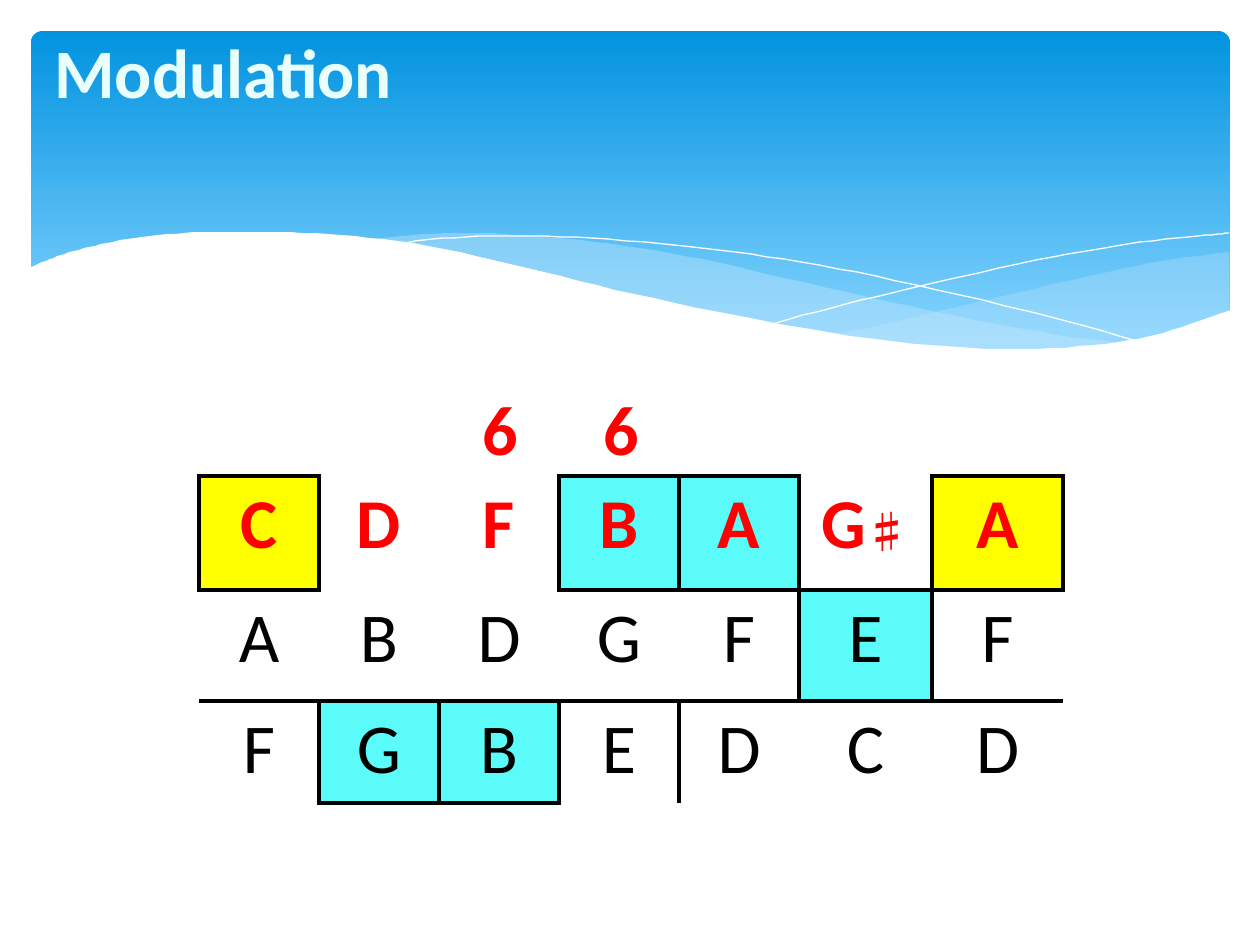
from lxml.etree import SubElement
from pptx import Presentation
from pptx.dml.color import RGBColor
from pptx.enum.shapes import MSO_SHAPE
from pptx.enum.text import MSO_ANCHOR, PP_ALIGN
from pptx.oxml.ns import qn
from pptx.util import Pt

PX = 914400 / 126
COLORS = {
    "sky_top": "0293E0", "sky_bottom": "83D3FE", "mist": "C6E7FC", "white": "FFFFFF",
    "title": "E9FFFE", "red": "FF0000", "black": "000000",
    "yellow": "FFFF00", "cyan": "5AFBF8",
}
FONT, SYMBOL_FONT = "Calibri", "Noto Sans CJK JP"
TITLE = "Modulation"
FIGURES = [("6", 470), ("6", 591)]
FIGURE_TOP, FIGURE_WIDTH, FIGURE_HEIGHT = 379, 52, 97

NOTES = [
    ["C", "D", "F", "B", "A", "G♯", "A"],
    ["A", "B", "D", "G", "F", "E", "F"],
    ["F", "G", "B", "E", "D", "C", "D"],
]
HIGHLIGHTS = {
    (0, 0): "yellow", (0, 6): "yellow", (0, 3): "cyan", (0, 4): "cyan",
    (1, 5): "cyan", (2, 1): "cyan", (2, 2): "cyan",
}
TABLE_LEFT, TABLE_TOP = 199, 476
COLUMN_WIDTHS = [120, 120, 120, 120, 120, 133, 131]
ROW_HEIGHTS = [114, 111, 102]

WAVES = [
    ("mist", 29, [
        [(1229, 252), (1161, 261), (1085, 277), (982, 301), (886, 324), (833, 334)],
        [(833, 334), (906, 343), (969, 348), (1038, 350), (1109, 346), (1169, 335), (1229, 311)],
    ]),
    ("mist", 40, [
        [(1125, 344), (1017, 328), (890, 302), (793, 280), (717, 262), (632, 247),
         (557, 238), (479, 233), (413, 235), (360, 241)],
        [(360, 241), (456, 251), (566, 280), (713, 312), (799, 329), (876, 340),
         (943, 347), (1018, 350), (1080, 349), (1125, 344)],
    ]),
]
STRANDS = [
    [(389, 246), (433, 239), (505, 236), (591, 238), (701, 248), (801, 262),
     (916, 285), (1047, 316), (1143, 343)],
    [(772, 324), (846, 304), (942, 281), (1053, 257), (1128, 244), (1198, 236), (1229, 233)],
]
FOREGROUND = [
    [(1231, 310), (1172, 330), (1118, 342), (1037, 349), (959, 347), (867, 338), (760, 320),
     (634, 294), (527, 268), (428, 246), (341, 235), (266, 232), (203, 232), (150, 236),
     (107, 243), (74, 251), (50, 259), (29, 268)],
    [(29, 415), (1231, 415)],
]


def px(length):
    return round(length * PX)


def color(name):
    return RGBColor.from_string(COLORS[name])


def smooth(points, steps=6):
    padded = [points[0], *points, points[-1]]
    curve = [points[0]]
    for a, b, c, d in zip(padded, padded[1:], padded[2:], padded[3:]):
        for step in range(1, steps + 1):
            t = step / steps
            curve.append(tuple(
                (2 * q + (r - p) * t + (2 * p - 5 * q + 4 * r - s) * t ** 2
                 + (3 * q - p - 3 * r + s) * t ** 3) / 2
                for p, q, r, s in zip(a, b, c, d)))
    return curve


def add_curve(slide, sections, fill=None, opacity=100):
    points = [point for section in sections
              for point in (smooth(section) if len(section) > 2 else section)]
    builder = slide.shapes.build_freeform(*points[0], scale=PX)
    builder.add_line_segments(points[1:], close=fill is not None)
    shape = builder.convert_to_shape()
    shape.shadow.inherit = False
    if fill is None:
        shape.fill.background()
        shape.line.color.rgb = color("white")
        shape.line.width = 0
        return
    shape.fill.solid()
    shape.fill.fore_color.rgb = color(fill)
    shape.line.fill.background()
    if opacity < 100:
        tint = shape.fill._xPr.find(".//" + qn("a:srgbClr"))
        SubElement(tint, qn("a:alpha"), val=str(opacity * 1000))


def format_run(run, size, name, bold=True):
    run.font.name = FONT
    run.font.size = Pt(size)
    run.font.bold = bold
    run.font.color.rgb = color(name)


def add_text(slide, text, box, size, name, wrap, anchor=MSO_ANCHOR.TOP):
    frame = slide.shapes.add_textbox(*map(px, box)).text_frame
    frame.word_wrap = wrap
    frame.vertical_anchor = anchor
    frame.text = text
    format_run(frame.paragraphs[0].runs[0], size, name)


def edges(row, column):
    return {
        "a:lnL": (row, column) in HIGHLIGHTS or (row, column - 1) in HIGHLIGHTS
        or (row, column) == (2, 4),
        "a:lnR": (row, column) in HIGHLIGHTS or (row, column + 1) in HIGHLIGHTS
        or (row, column) == (2, 3),
        "a:lnT": row == 2 or (row, column) in HIGHLIGHTS or (row - 1, column) in HIGHLIGHTS,
        "a:lnB": row == 1 or (row, column) in HIGHLIGHTS or (row + 1, column) in HIGHLIGHTS,
    }


def draw_borders(cell, sides):
    properties = cell._tc.get_or_add_tcPr()
    for position, (tag, visible) in enumerate(sides.items()):
        line = SubElement(properties, qn(tag), w=str(Pt(2.25) if visible else 0))
        properties.insert(position, line)
        if visible:
            fill = SubElement(line, qn("a:solidFill"))
            SubElement(fill, qn("a:srgbClr"), val=COLORS["black"])
        else:
            SubElement(line, qn("a:noFill"))


def add_note_table(slide):
    table = slide.shapes.add_table(
        len(NOTES), len(NOTES[0]), px(TABLE_LEFT), px(TABLE_TOP),
        px(sum(COLUMN_WIDTHS)), px(sum(ROW_HEIGHTS))).table
    table.first_row = table.horz_banding = False
    for column, width in zip(table.columns, COLUMN_WIDTHS):
        column.width = px(width)
    for row, height in zip(table.rows, ROW_HEIGHTS):
        row.height = px(height)
    for r, notes in enumerate(NOTES):
        for c, note in enumerate(notes):
            cell = table.cell(r, c)
            paragraph = cell.text_frame.paragraphs[0]
            paragraph.alignment = PP_ALIGN.CENTER
            for letter in note:
                run = paragraph.add_run()
                run.text = letter
                format_run(run, 40, "red" if r == 0 else "black", r == 0)
                if letter == "♯":
                    run.font.size = Pt(25)
                    run.font.name = SYMBOL_FONT
                    SubElement(run.font._element, qn("a:ea"), typeface=SYMBOL_FONT)
            if (r, c) in HIGHLIGHTS:
                cell.fill.solid()
                cell.fill.fore_color.rgb = color(HIGHLIGHTS[r, c])
            else:
                cell.fill.background()
            draw_borders(cell, edges(r, c))


def add_banner(slide):
    banner = slide.shapes.add_shape(
        MSO_SHAPE.ROUNDED_RECTANGLE, *map(px, (31, 31, 1199, 340)))
    banner.adjustments[0] = 0.034
    banner.shadow.inherit = False
    banner.line.fill.background()
    banner.fill.gradient()
    banner.fill.gradient_angle = 270
    stops = [("sky_top", 0), ("sky_bottom", 0.9)]
    for stop, (name, position) in zip(banner.fill.gradient_stops, stops):
        stop.color.rgb = color(name)
        stop.position = position
    for fill, opacity, sections in WAVES:
        add_curve(slide, sections, fill, opacity)
    for strand in STRANDS:
        add_curve(slide, [strand])
    add_curve(slide, FOREGROUND, "white")


def main():
    presentation = Presentation()
    presentation.slide_width, presentation.slide_height = px(1260), px(945)
    slide = presentation.slides.add_slide(presentation.slide_layouts[6])
    add_banner(slide)
    add_note_table(slide)
    for text, left in FIGURES:
        add_text(slide, text, (left, FIGURE_TOP, FIGURE_WIDTH, FIGURE_HEIGHT), 40, "red", False)
    add_text(slide, TITLE, (42, 37, 1231, 67), 39.6, "title", True, MSO_ANCHOR.MIDDLE)
    presentation.save("out.pptx")


if __name__ == "__main__":
    main()
